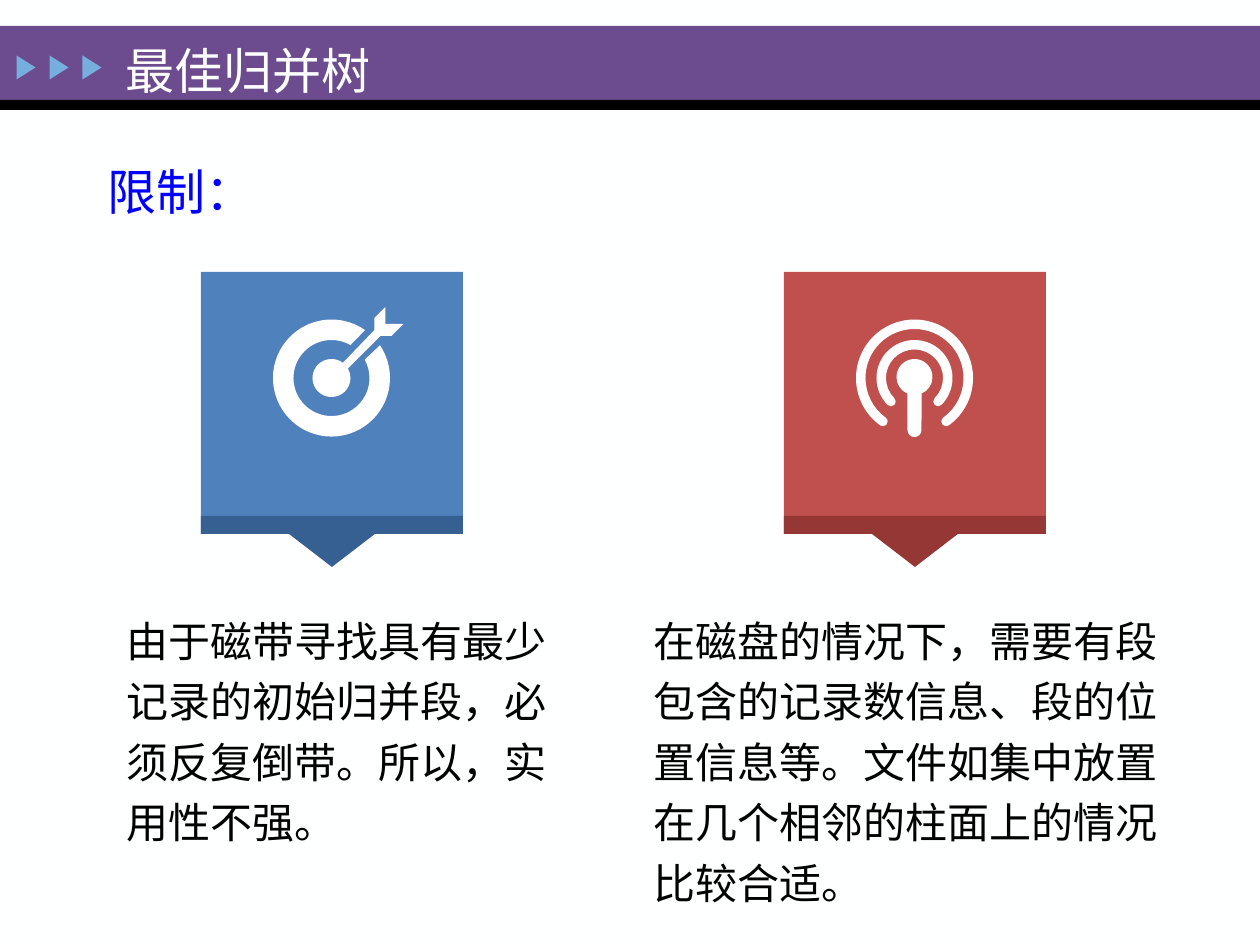
import dataclasses
import math

import pptx
import pptx.dml.color
import pptx.enum.lang
import pptx.enum.shapes
import pptx.enum.text
import pptx.oxml
import pptx.oxml.ns
import pptx.util

EMU_PER_PX = 914400 / 126
SHAPE = pptx.enum.shapes.MSO_SHAPE


@dataclasses.dataclass(frozen=True)
class Theme:
    font: str = "Times New Roman"
    title_size: int = 28
    body_size: int = 24
    background: str = "FEFFFF"
    band: str = "6C4C8F"
    rule: str = "000000"
    marker: str = "76AEDD"
    heading: str = "0000FF"
    text: str = "000000"
    icon: str = "FFFFFF"
    blue: str = "4F81BD"
    dark_blue: str = "376092"
    red: str = "C0504D"
    dark_red: str = "953735"


THEME = Theme()


def px(length):
    return pptx.util.Emu(round(length * EMU_PER_PX))


def color(value):
    return pptx.dml.color.RGBColor.from_string(value)


def paint(shape, fill):
    shape.shadow.inherit = False
    shape.fill.solid()
    shape.fill.fore_color.rgb = color(fill)
    shape.line.fill.background()


def add_preset(shapes, kind, box, fill):
    shape = shapes.add_shape(kind, *map(px, box))
    paint(shape, fill)
    return shape


def polar(center, radius, degrees):
    angle = math.radians(degrees)
    return center[0] + radius * math.cos(angle), center[1] - radius * math.sin(angle)


def line(*points):
    return [[point] for point in points]


def arc(center, radius, start, end):
    """Line to the start, then Bezier curves split at the quarter turns."""
    sign = 1 if end > start else -1
    low, high = sorted((start, end))
    quarters = [q for q in range(-360, 721, 90) if low < q < high]
    stops = [start, *quarters[::sign], end]
    segments = line(polar(center, radius, start))
    for first, last in zip(stops, stops[1:]):
        reach = 4 / 3 * math.tan(math.radians(last - first) / 4)
        length = radius * math.hypot(1, reach)
        tilt = math.degrees(math.atan(reach))
        segments.append([polar(center, length, first + tilt),
                         polar(center, length, last - tilt),
                         polar(center, radius, last)])
    return segments


def add_outline(shapes, origin, contours, fill):
    """Draw closed contours of segments: one point is a line, three a curve."""
    def place(point):
        return px(origin[0] + point[0]), px(origin[1] + point[1])

    builder = shapes.build_freeform(*place(contours[0][0][-1]))
    for index, contour in enumerate(contours):
        ends = [place(segment[-1]) for segment in contour]
        if index:
            builder.move_to(*ends[0])
        builder.add_line_segments(ends[1:], close=True)
    shape = builder.convert_to_shape()
    steps = list(shape._element.iter(pptx.oxml.ns.qn("a:lnTo")))
    segments = [segment for contour in contours for segment in contour[1:]]
    for step, segment in zip(steps, segments):
        if len(segment) == 3:
            points = "".join(f'<a:pt x="{x - shape.left}" y="{y - shape.top}"/>'
                             for x, y in map(place, segment))
            curve = pptx.oxml.parse_xml(
                f"<a:cubicBezTo {pptx.oxml.ns.nsdecls('a')}>{points}</a:cubicBezTo>")
            step.getparent().replace(step, curve)
    paint(shape, fill)


def rounded_ring(outer, inner, start, end):
    """Ring with a gap and round ends."""
    middle, cap = (outer + inner) / 2, (outer - inner) / 2
    return (arc((0, 0), outer, start, end)
            + arc(polar((0, 0), middle, end), cap, end, end + 180)[1:]
            + arc((0, 0), inner, end, start)[1:]
            + arc(polar((0, 0), middle, start), cap, start + 180, start + 360)[1:])


def add_target_icon(shapes, center):
    ring = arc((0, 0), 58.5, 55, 394) + arc((0, 0), 38, 389, 60)
    arrow = arc((0, 0), 19, 53, 390) + line(
        (49, -42), (60, -42), (72, -54), (54, -54), (54, -71), (43, -60), (43, -48))
    add_outline(shapes, center, [ring, arrow], THEME.icon)


def add_broadcast_icon(shapes, center):
    pin = arc((0, -1), 18, -67, 247) + arc((0, 52), 7, 180, 360)
    rings = [rounded_ring(58.5, 49, -54, 234), rounded_ring(38, 28.5, -45, 225)]
    add_outline(shapes, center, [*rings, pin], THEME.icon)


def add_card(slide, left, top, fill, dark_fill, add_icon):
    side, edge, pointer_half = 262, 244, 43
    middle = side / 2
    shapes = slide.shapes.add_group_shape().shapes
    add_preset(shapes, SHAPE.RECTANGLE, (left, top, side, side), fill)
    pointer = line((0, edge), (side, edge), (side, side), (middle + pointer_half, side),
                   (middle, side + 33), (middle - pointer_half, side), (0, side))
    add_outline(shapes, (left, top), [pointer], dark_fill)
    add_icon(shapes, (left + 130.5, top + 106))


def set_text(shape, box, text, size, text_color, line_spacing):
    shape.left, shape.top, shape.width, shape.height = map(px, box)
    frame = shape.text_frame
    frame.text = text
    frame.word_wrap = True
    frame.auto_size = pptx.enum.text.MSO_AUTO_SIZE.NONE
    frame.vertical_anchor = pptx.enum.text.MSO_ANCHOR.TOP
    paragraph = frame.paragraphs[0]
    properties = paragraph._p.get_or_add_pPr()
    properties.set("marL", "0")
    properties.set("indent", "0")
    properties.append(pptx.oxml.parse_xml(
        f"<a:buNone {pptx.oxml.ns.nsdecls('a')}/>"))
    paragraph.alignment = pptx.enum.text.PP_ALIGN.LEFT
    paragraph.line_spacing = line_spacing
    paragraph.space_before = pptx.util.Pt(0)
    font = paragraph.runs[0].font
    font.name = THEME.font
    font.size = pptx.util.Pt(size)
    font.color.rgb = color(text_color)
    font.language_id = pptx.enum.lang.MSO_LANGUAGE_ID.SIMPLIFIED_CHINESE


def add_header(slide, left, top, width, title):
    add_preset(slide.shapes, SHAPE.RECTANGLE, (left, top, width, 74), THEME.band)
    add_preset(slide.shapes, SHAPE.RECTANGLE, (left, top + 74, width, 10), THEME.rule)
    markers = slide.shapes.add_group_shape().shapes
    for index in range(3):
        box = (left + 14 + 33 * index, top + 32, 24, 19)
        add_preset(markers, SHAPE.ISOSCELES_TRIANGLE, box, THEME.marker).rotation = 90
    placeholder = slide.shapes.title
    set_text(placeholder, (left + 113, top - 6, 669, 73), title,
             THEME.title_size, THEME.background, 1.25)
    # The title is created first, so bring it in front of the band.
    placeholder._element.getparent().append(placeholder._element)


def main():
    presentation = pptx.Presentation()
    presentation.slide_width, presentation.slide_height = px(1260), px(945)
    slide = presentation.slides.add_slide(presentation.slide_layouts[3])
    slide.background.fill.solid()
    slide.background.fill.fore_color.rgb = color(THEME.background)

    add_header(slide, 0, 26, 1260, "最佳归并树")
    heading = slide.shapes.add_textbox(0, 0, 0, 0)
    set_text(heading, (95, 138, 902, 91), "限制：", THEME.title_size, THEME.heading, 1.3)

    add_card(slide, 201, 272, THEME.blue, THEME.dark_blue, add_target_icon)
    add_card(slide, 784, 272, THEME.red, THEME.dark_red, add_broadcast_icon)

    limits = (
        (1, (114, 599, 466, 257),
         "由于磁带寻找具有最少记录的初始归并段，必须反复倒带。所以，实用性不强。"),
        (2, (641, 599, 536, 312),
         "在磁盘的情况下，需要有段包含的记录数信息、段的位置信息等。"
         "文件如集中放置在几个相邻的柱面上的情况比较合适。"),
    )
    for index, box, text in limits:
        set_text(slide.placeholders[index], box, text, THEME.body_size, THEME.text, 1.2)

    presentation.save("out.pptx")


if __name__ == "__main__":
    main()
